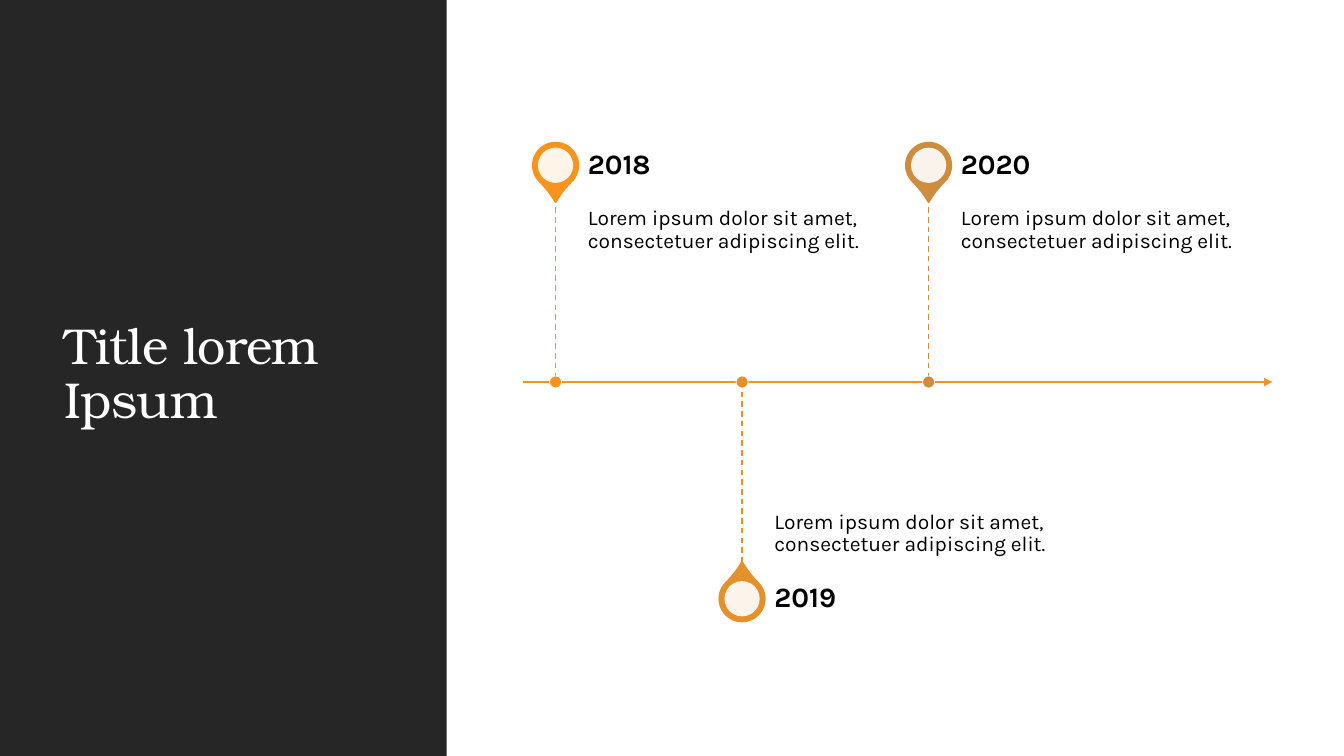
from dataclasses import dataclass

from lxml import etree
from pptx import Presentation
from pptx.dml.color import RGBColor
from pptx.enum.dml import MSO_LINE
from pptx.enum.shapes import MSO_CONNECTOR, MSO_SHAPE
from pptx.enum.text import MSO_ANCHOR, PP_ALIGN
from pptx.oxml.ns import qn
from pptx.util import Inches, Pt

STRAIGHT = MSO_CONNECTOR.STRAIGHT
RECTANGLE = MSO_SHAPE.RECTANGLE
OVAL = MSO_SHAPE.OVAL
TEAR = MSO_SHAPE.TEAR
DASH = MSO_LINE.DASH
TOP, MIDDLE, BOTTOM = MSO_ANCHOR.TOP, MSO_ANCHOR.MIDDLE, MSO_ANCHOR.BOTTOM
LEFT = PP_ALIGN.LEFT
TITLE_ONLY = 5


@dataclass(frozen=True)
class Theme:
    panel: str = "262626"
    white: str = "FFFFFF"
    text: str = "000000"
    accent: str = "F8931D"
    title_font: str = "TeX Gyre Bonum"
    body_font: str = "Karla"
    title_size: int = 36
    year_size: int = 20
    body_size: int = 15


THEME = Theme()
AXIS_Y = 3.79
AXIS_START, AXIS_END = 5.19, 12.62
FIRST_X, PITCH = 5.51, 1.85
STEM = 1.83
PIN_DISTANCE = 2.15
PIN_SIZE, HOLE_SIZE, DOT_SIZE = 0.45, 0.35, 0.12
TEXT_OFFSET, TEXT_WIDTH, YEAR_HEIGHT = 0.32, 3.08, 0.64
DETAIL = "Lorem ipsum dolor sit amet, consectetuer adipiscing elit."
MILESTONES = [
    ("2018", THEME.accent, True),
    ("2019", "E3902D", False),
    ("2020", "CE8D3E", True),
]


def rgb(value):
    return RGBColor.from_string(value)


def apply(target, values):
    for name, value in values.items():
        setattr(target, name, value)


def add_shape(slide, kind, box, fill, line=None, width=1.0):
    shape = slide.shapes.add_shape(kind, *map(Inches, box))
    shape.shadow.inherit = False
    shape.fill.solid()
    shape.fill.fore_color.rgb = rgb(fill)
    if line:
        shape.line.color.rgb = rgb(line)
        shape.line.width = Pt(width)
    else:
        shape.line.fill.background()
    return shape


def add_centred(slide, kind, x, y, size, fill, line=None, width=1.0):
    box = (x - size / 2, y - size / 2, size, size)
    return add_shape(slide, kind, box, fill, line, width)


def add_line(slide, start, end, color, width):
    connector = slide.shapes.add_connector(
        STRAIGHT, *map(Inches, (*start, *end)))
    connector.line.color.rgb = rgb(color)
    connector.line.width = Pt(width)
    etree.SubElement(connector.element.spPr, qn("a:effectLst"))
    return connector


def write_text(shape, text, font, size, color, anchor, bold=False):
    frame = shape.text_frame
    apply(frame, {"word_wrap": True, "vertical_anchor": anchor})
    paragraph = frame.paragraphs[0]
    apply(paragraph, {"alignment": LEFT, "line_spacing": 0.9})
    run = paragraph.add_run()
    run.text = text
    apply(run.font, {"name": font, "size": Pt(size), "bold": bold})
    run.font.color.rgb = rgb(color)
    return run


def add_text(slide, box, text, size, anchor, insets, bold=False):
    shape = slide.shapes.add_textbox(*map(Inches, box))
    sides = ("margin_left", "margin_top", "margin_right", "margin_bottom")
    apply(shape.text_frame, dict(zip(sides, map(Inches, insets))))
    write_text(shape, text, THEME.body_font, size, THEME.text, anchor, bold)


def add_title(slide, text):
    panel = add_shape(slide, RECTANGLE, (0, 0, 4.43, 7.5), THEME.panel)
    title = slide.shapes.title
    title.element.addprevious(panel.element)
    apply(title, {"left": Inches(0.54), "top": Inches(0.57),
                  "width": Inches(3.37), "height": Inches(6.31)})
    run = write_text(title, text, THEME.title_font, THEME.title_size,
                     THEME.white, MIDDLE)
    run.font.element.set("spc", "-50") if hasattr(run.font, "element") else \
        title.element.find(".//" + qn("a:rPr")).set("spc", "-50")


def add_axis(slide):
    axis = add_line(slide, (AXIS_START, AXIS_Y), (AXIS_END, AXIS_Y),
                    THEME.accent, 1.5)
    outline = axis.element.spPr.find(qn("a:ln"))
    etree.SubElement(outline, qn("a:tailEnd"), type="triangle")


def add_pin(slide, x, y, color, rotation):
    drop = add_centred(slide, TEAR, x, y, PIN_SIZE, color, color, 1.25)
    drop.adjustments[0] = 1.15
    drop.rotation = rotation
    hole = add_centred(slide, OVAL, x, y, HOLE_SIZE, THEME.white)
    white = hole.element.spPr.find(".//" + qn("a:srgbClr"))
    etree.SubElement(white, qn("a:alpha"), val="90000")


def add_milestone(slide, x, year, color, above):
    direction = -1 if above else 1
    stem_end = AXIS_Y + direction * STEM
    year_top = stem_end - YEAR_HEIGHT if above else stem_end
    anchor = TOP if above else BOTTOM
    insets = (0, 0.1, 0.1, 0.16) if above else (0, 0.16, 0, 0.1)
    text_left = x + TEXT_OFFSET

    add_pin(slide, x, AXIS_Y + direction * PIN_DISTANCE, color,
            135 if above else 315)
    add_text(slide, (text_left, min(AXIS_Y, stem_end), TEXT_WIDTH, STEM),
             DETAIL, THEME.body_size, anchor, insets)
    add_text(slide, (text_left, year_top, TEXT_WIDTH, YEAR_HEIGHT),
             year, THEME.year_size, MIDDLE, (0, 0, 0.14, 0), bold=True)
    stem = add_line(slide, (x, min(AXIS_Y, stem_end)),
                    (x, max(AXIS_Y, stem_end)), color, 1)
    stem.line.dash_style = DASH
    add_centred(slide, OVAL, x, AXIS_Y, DOT_SIZE, color, THEME.white, 0.5)


def main():
    presentation = Presentation()
    apply(presentation, {"slide_width": Inches(13.33),
                         "slide_height": Inches(7.5)})
    slide = presentation.slides.add_slide(
        presentation.slide_layouts[TITLE_ONLY])
    add_title(slide, "Title lorem Ipsum")
    add_axis(slide)
    for index, (year, color, above) in enumerate(MILESTONES):
        add_milestone(slide, FIRST_X + index * PITCH, year, color, above)
    presentation.save("out.pptx")


if __name__ == "__main__":
    main()
